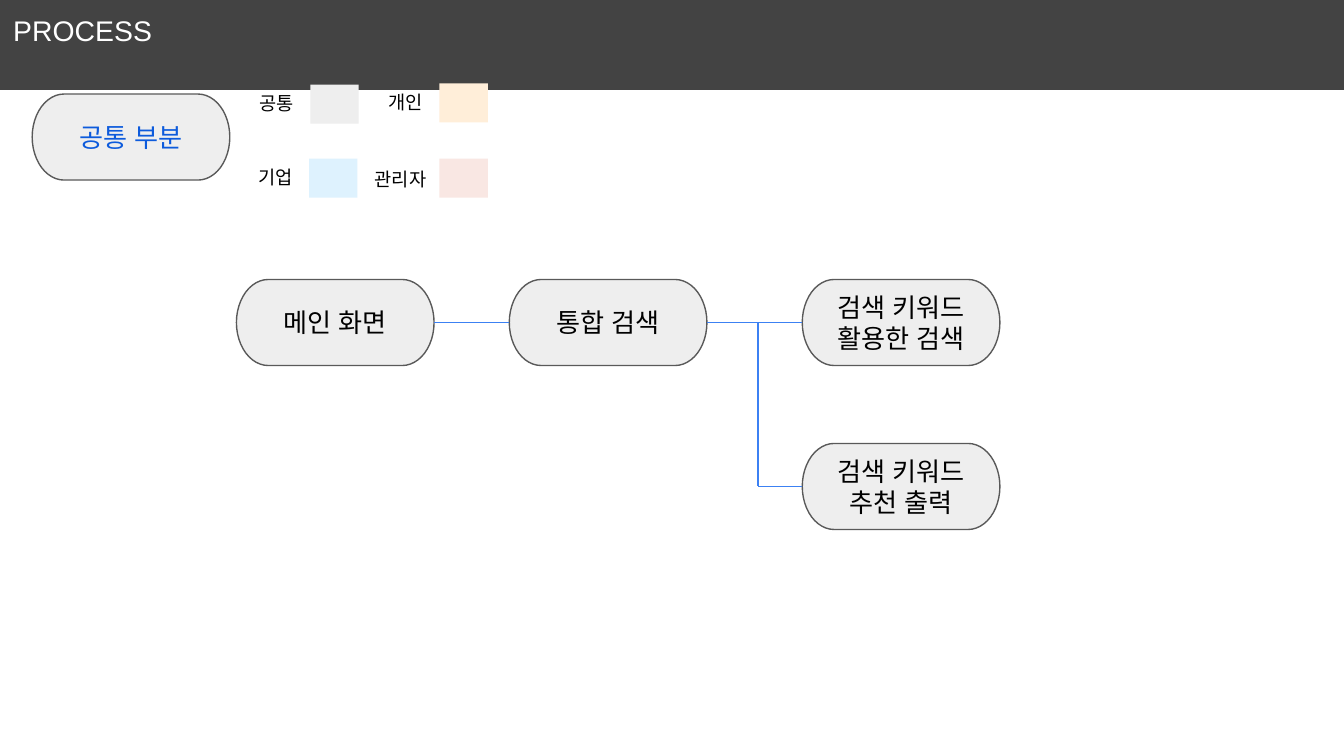
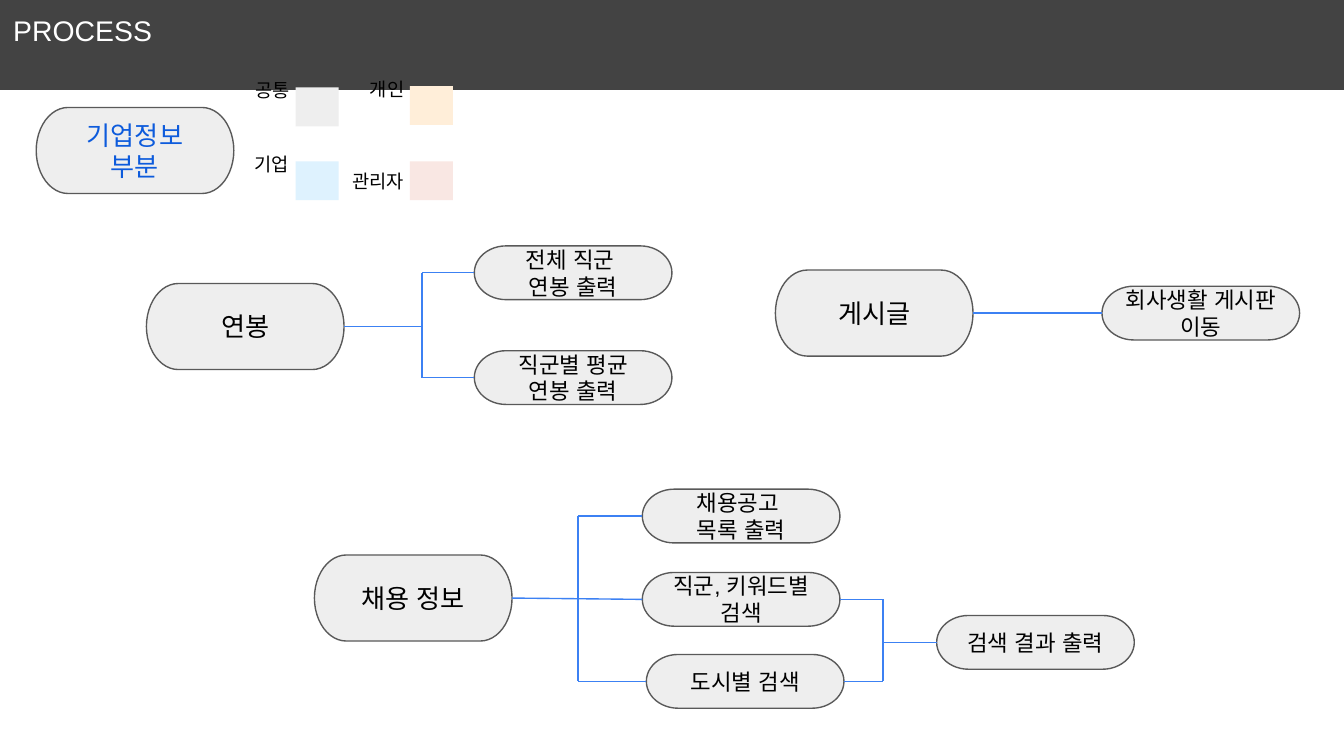
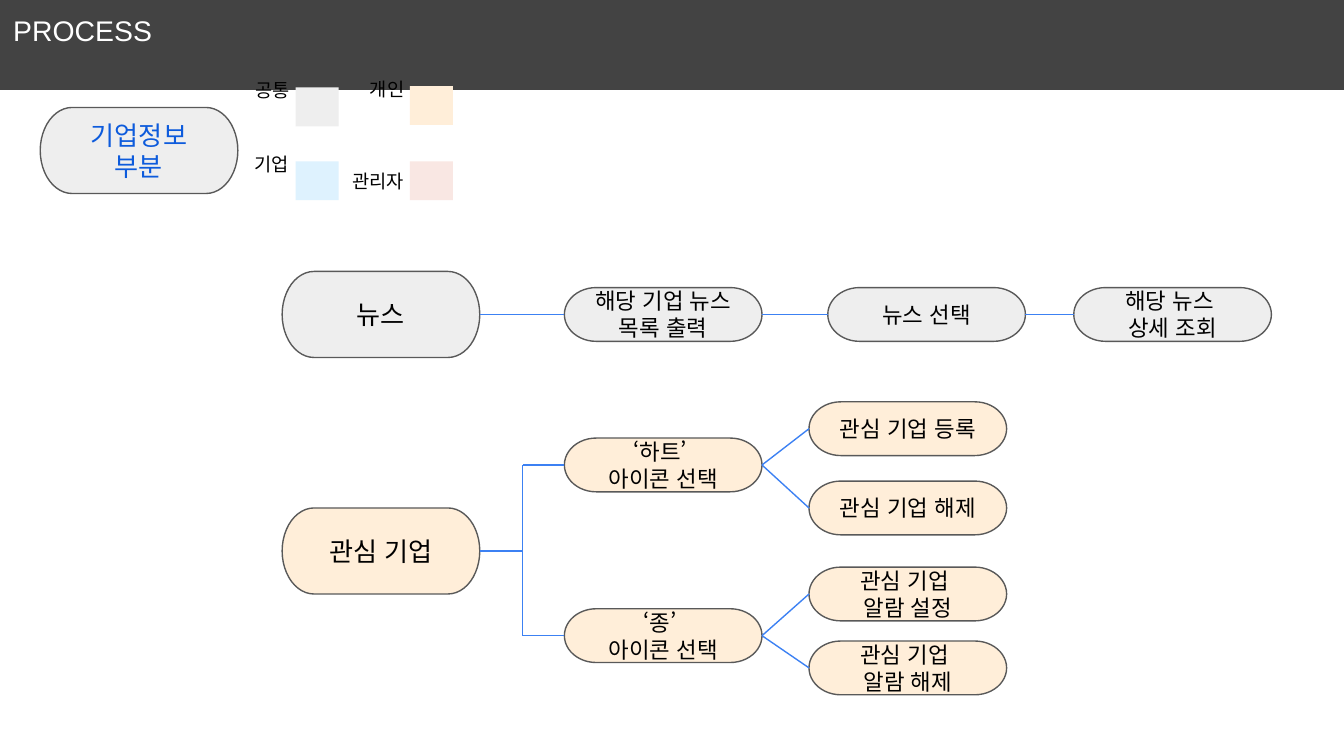
import dataclasses

import lxml.etree
import pptx
import pptx.dml.color
import pptx.enum.lang
import pptx.enum.shapes
import pptx.enum.text
import pptx.oxml.ns
import pptx.util

Inches = pptx.util.Inches
Shape = pptx.enum.shapes.MSO_SHAPE
Anchor = pptx.enum.text.MSO_ANCHOR
Align = pptx.enum.text.PP_ALIGN
LEFT, RIGHT = 1, 3  # connection sites of a node


@dataclasses.dataclass(frozen=True)
class Theme:
    font: str = "Arial"
    band: str = "434343"
    white: str = "FFFFFF"
    text: str = "000000"
    heading: str = "0D5BDC"
    outline: str = "595959"
    link: str = "3C81F3"
    common: str = "EEEEEE"
    person: str = "FFEED9"
    company: str = "DEF2FE"
    manager: str = "F9E7E3"
    title_size: float = 15.2
    step_size: float = 14
    detail_size: float = 12
    legend_size: float = 10
    line_width: float = 0.75
    node_width: float = 1.47
    step_height: float = 0.64
    detail_height: float = 0.4


THEME = Theme()

# Legend rows: label, colour, label left, top, width, swatch left, top
WIDE_LEGEND = [
    ("공통", THEME.common, 1.83, 0.53, 0.57, 2.31, 0.63),
    ("개인", THEME.person, 2.79, 0.52, 0.57, 3.27, 0.62),
    ("기업", THEME.company, 1.82, 1.08, 0.57, 2.3, 1.18),
    ("관리자", THEME.manager, 2.67, 1.09, 0.73, 3.27, 1.18),
]
NARROW_LEGEND = [
    ("공통", THEME.common, 1.78, 0.55, 0.5, 2.2, 0.65),
    ("개인", THEME.person, 2.63, 0.54, 0.5, 3.05, 0.64),
    ("기업", THEME.company, 1.77, 1.1, 0.5, 2.2, 1.2),
    ("관리자", THEME.manager, 2.52, 1.11, 0.64, 3.05, 1.2),
]


def rgb(value):
    return pptx.dml.color.RGBColor.from_string(value)


# Shared elements
def write(shape, text, size, color, align=Align.CENTER, anchor=Anchor.MIDDLE,
          insets=(0.1, 0.1, 0.1, 0.1)):
    frame = shape.text_frame
    frame.word_wrap = True
    frame.vertical_anchor = anchor
    (frame.margin_left, frame.margin_top,
     frame.margin_right, frame.margin_bottom) = map(Inches, insets)
    frame.text = text
    for para in frame.paragraphs:
        para.alignment = align
        para.font.name = THEME.font
        para.font.size = pptx.util.Pt(size)
        para.font.color.rgb = rgb(color)
        for span in para.runs:
            span.font.language_id = pptx.enum.lang.MSO_LANGUAGE_ID.KOREAN


def add_filled(shapes, kind, left, top, width, height, fill):
    shape = shapes.add_shape(kind, *map(Inches, (left, top, width, height)))
    shape.shadow.inherit = False
    shape.fill.solid()
    shape.fill.fore_color.rgb = rgb(fill)
    shape.line.fill.background()
    return shape


def add_page(deck):
    page = deck.slides.add_slide(deck.slide_layouts[6])
    band = add_filled(page.shapes, Shape.RECTANGLE, 0, 0, 10, 0.67, THEME.band)
    write(band, "PROCESS", THEME.title_size, THEME.white, Align.LEFT, Anchor.TOP)
    return page


def add_legend(page, rows, narrow):
    group = page.shapes.add_group_shape()
    for label, color, left, top, width, swatch_left, swatch_top in rows:
        box = group.shapes.add_textbox(*map(Inches, (left, top, width, 0.44)))
        # Two-character labels of the narrow legend sit at the top of their box
        if narrow and len(label) == 2:
            anchor, insets = Anchor.TOP, (0, 0.04, 0, 0)
        else:
            anchor, insets = Anchor.MIDDLE, (0, 0.04, 0.05 if narrow else 0.11, 0)
        write(box, label, THEME.legend_size, THEME.text, anchor=anchor, insets=insets)
        add_filled(group.shapes, Shape.RECTANGLE, swatch_left, swatch_top,
                   0.32 if narrow else 0.36, 0.29, color)


# Flow nodes
def add_node(page, text, left, top, height, size, fill, color=THEME.text):
    node = add_filled(page.shapes, Shape.FLOWCHART_TERMINATOR, left, top,
                      THEME.node_width, height, fill)
    node.line.color.rgb = rgb(THEME.outline)
    node.line.width = pptx.util.Pt(THEME.line_width)
    write(node, text, size, color)
    return node


def add_step(page, text, left, top, fill=THEME.common, color=THEME.text):
    return add_node(page, text, left, top, THEME.step_height, THEME.step_size, fill, color)


def add_detail(page, text, left, top, fill=THEME.common):
    return add_node(page, text, left, top, THEME.detail_height, THEME.detail_size, fill)


# Flow lines
def middle(node):
    return node.top + node.height // 2


def add_line(page, x1, y1, x2, y2):
    line = page.shapes.add_connector(
        pptx.enum.shapes.MSO_CONNECTOR.STRAIGHT, x1, y1, x2, y2)
    line.line.color.rgb = rgb(THEME.link)
    line.line.width = pptx.util.Pt(THEME.line_width)
    properties = line._element.spPr
    lxml.etree.SubElement(properties, pptx.oxml.ns.qn("a:effectLst"))
    return line


def link(page, *nodes):
    """Join each node to the next one."""
    for start, end in zip(nodes, nodes[1:]):
        line = add_line(page, 0, 0, 0, 0)
        line.begin_connect(start, RIGHT)
        line.end_connect(end, LEFT)


def stub(page, node, side, x):
    """Run a level line from one side of a node to the trunk at x."""
    line = add_line(page, 0, 0, Inches(x), middle(node))
    line.begin_connect(node, side)


def trunk(page, x, upper, lower):
    add_line(page, Inches(x), middle(upper), Inches(x), middle(lower))


# Pages
def build_common(deck):
    page = add_page(deck)
    add_step(page, "공통 부분", 0.24, 0.7, color=THEME.heading)
    home = add_step(page, "메인 화면", 1.76, 2.08)
    search = add_step(page, "통합 검색", 3.79, 2.08)
    suggest = add_step(page, "검색 키워드 추천 출력", 5.97, 3.3)
    keyword = add_step(page, "검색 키워드 활용한 검색", 5.97, 2.08)
    link(page, home, search, keyword)
    trunk(page, 5.64, keyword, suggest)
    stub(page, suggest, LEFT, 5.64)
    add_legend(page, WIDE_LEGEND, narrow=False)


def build_company(deck):
    page = add_page(deck)
    add_step(page, "기업정보\n부분", 0.27, 0.8, color=THEME.heading)

    # Salary
    salary = add_step(page, "연봉", 1.09, 2.11)
    overall = add_detail(page, "전체 직군 \n연봉 출력", 3.53, 1.83)
    average = add_detail(page, "직군별 평균 연봉 출력", 3.53, 2.61)
    stub(page, salary, RIGHT, 3.14)
    trunk(page, 3.14, overall, average)
    for node in (overall, average):
        stub(page, node, LEFT, 3.14)

    # Posts
    posts = add_step(page, "게시글", 5.77, 2.01)
    board = add_detail(page, "회사생활 게시판 이동", 8.2, 2.13)
    link(page, posts, board)

    # Recruiting
    recruiting = add_step(page, "채용 정보", 2.34, 4.13)
    listing = add_detail(page, "채용공고 \n목록 출력", 4.78, 3.64)
    by_keyword = add_detail(page, "직군, 키워드별 검색", 4.78, 4.26)
    by_city = add_detail(page, "도시별 검색", 4.81, 4.87)
    result = add_detail(page, "검색 결과 출력", 6.97, 4.58)
    link(page, recruiting, by_keyword)
    trunk(page, 4.3, listing, by_city)
    for node in (listing, by_city):
        stub(page, node, LEFT, 4.3)
    trunk(page, 6.57, by_keyword, by_city)
    for node in (by_keyword, by_city):
        stub(page, node, RIGHT, 6.57)
    stub(page, result, LEFT, 6.57)
    add_legend(page, NARROW_LEGEND, narrow=True)


def build_news(deck):
    page = add_page(deck)
    add_step(page, "기업정보\n부분", 0.3, 0.8, color=THEME.heading)

    # News
    news = add_step(page, "뉴스", 2.1, 2.02)
    chain = [add_detail(page, text, left, 2.14) for text, left in (
        ("해당 기업 뉴스 목록 출력", 4.2),
        ("뉴스 선택", 6.16),
        ("해당 뉴스 \n상세 조회", 7.99))]
    link(page, news, *chain)

    # Favourite companies
    favourite = add_step(page, "관심 기업", 2.1, 3.78, THEME.person)
    branches = [
        ("‘하트’ \n아이콘 선택", 3.26,
         [("관심 기업 등록", 2.99), ("관심 기업 해제", 3.58)]),
        ("‘종’ \n아이콘 선택", 4.53,
         [("관심 기업 \n알람 설정", 4.22), ("관심 기업 \n알람 해제", 4.77)]),
    ]
    icons = []
    for text, top, actions in branches:
        icon = add_detail(page, text, 4.2, top, THEME.person)
        icons.append(icon)
        stub(page, icon, LEFT, 3.89)
        for action, action_top in actions:
            link(page, icon, add_detail(page, action, 6.02, action_top, THEME.person))
    stub(page, favourite, RIGHT, 3.89)
    trunk(page, 3.89, *icons)
    add_legend(page, NARROW_LEGEND, narrow=True)


def main():
    deck = pptx.Presentation()
    deck.slide_width = Inches(10)
    deck.slide_height = deck.slide_width * 9 // 16
    build_common(deck)
    build_company(deck)
    build_news(deck)
    deck.save("out.pptx")


main()
